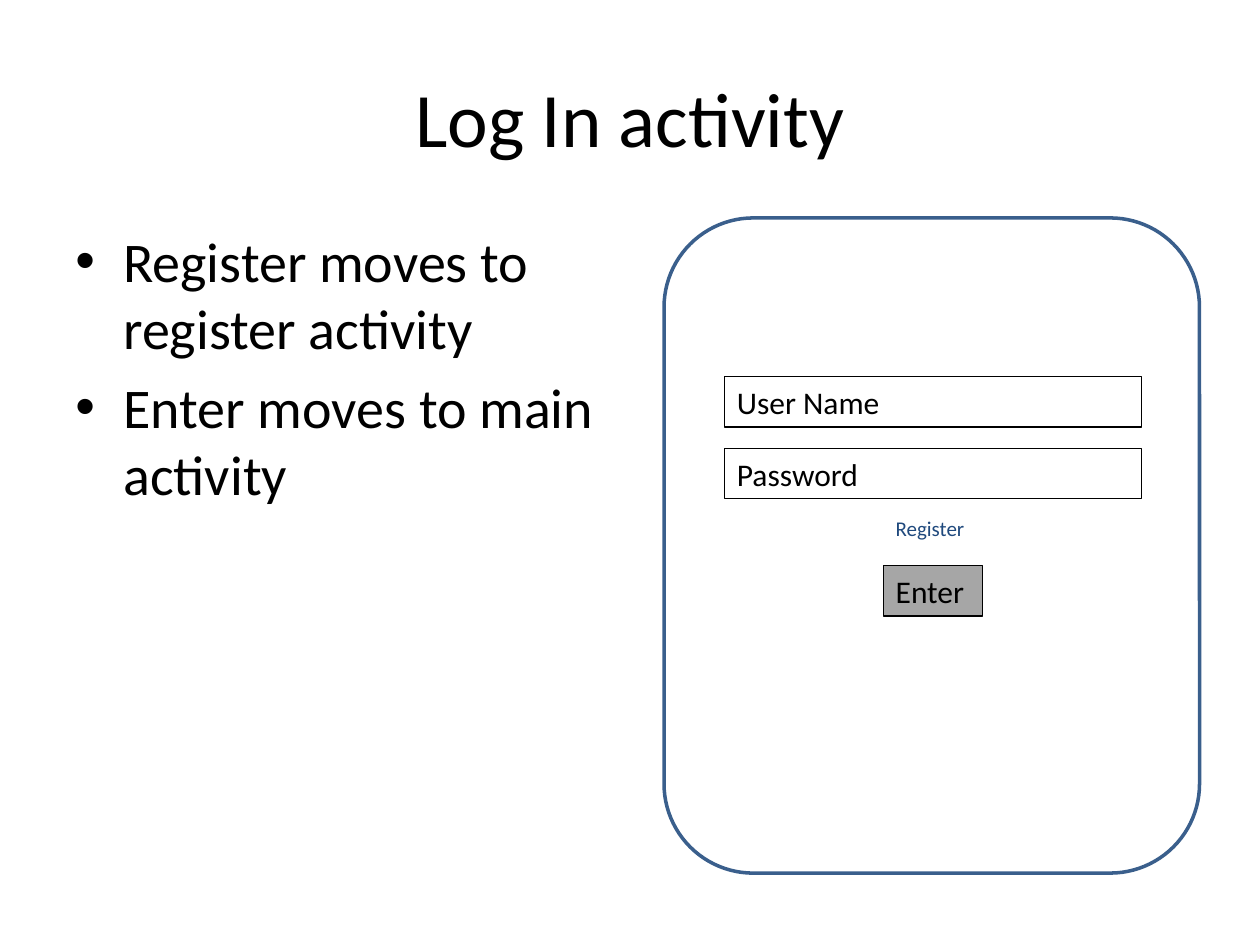
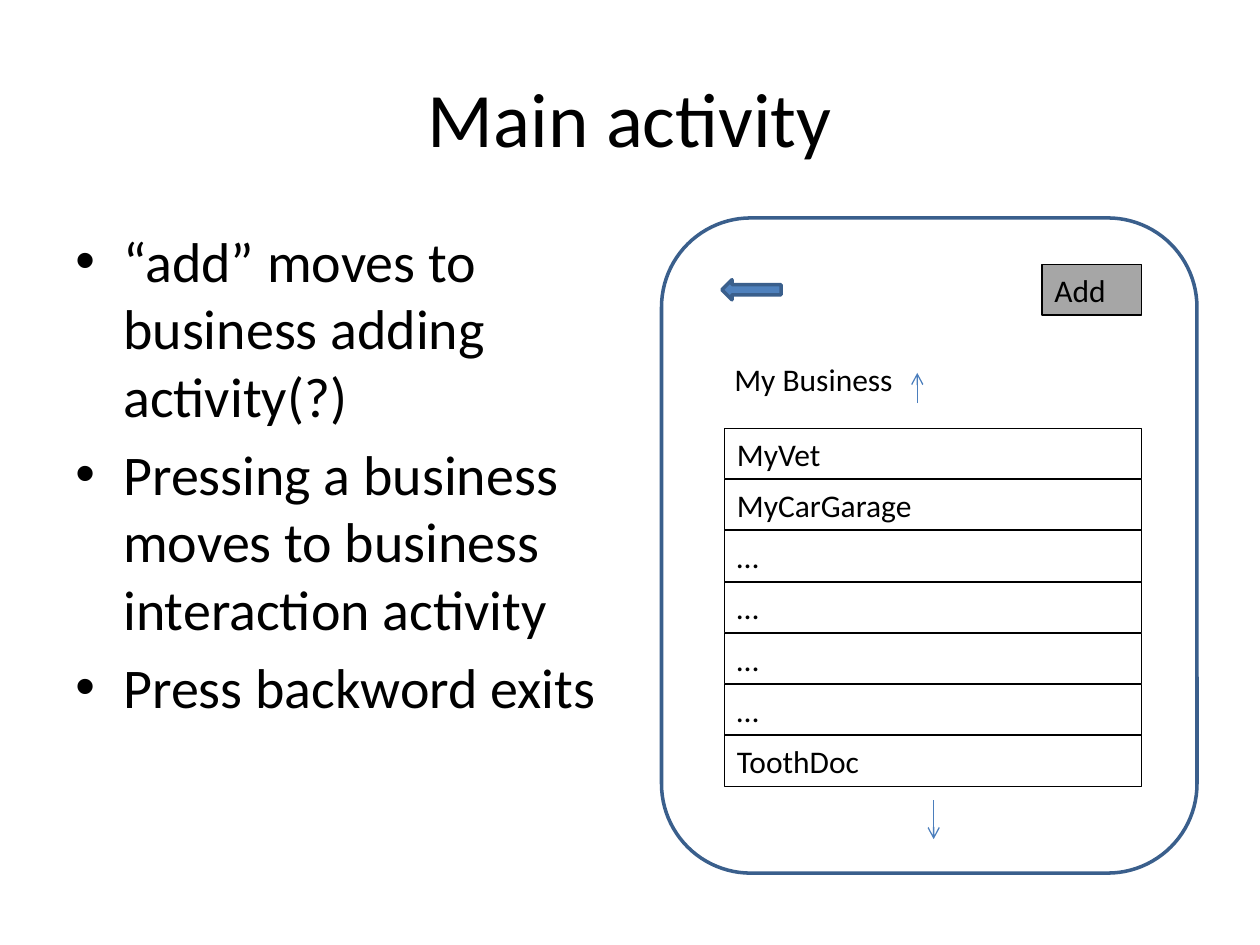
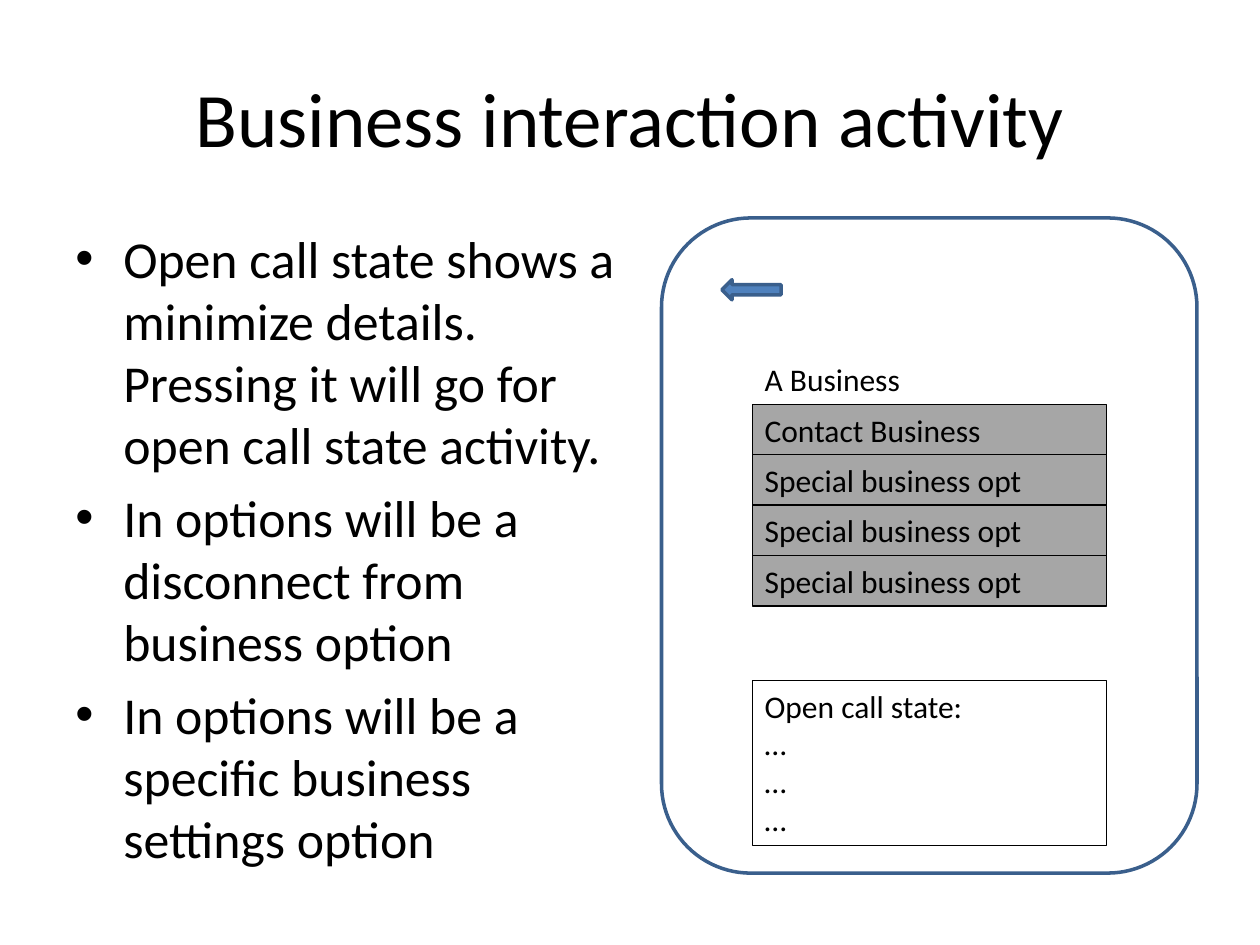
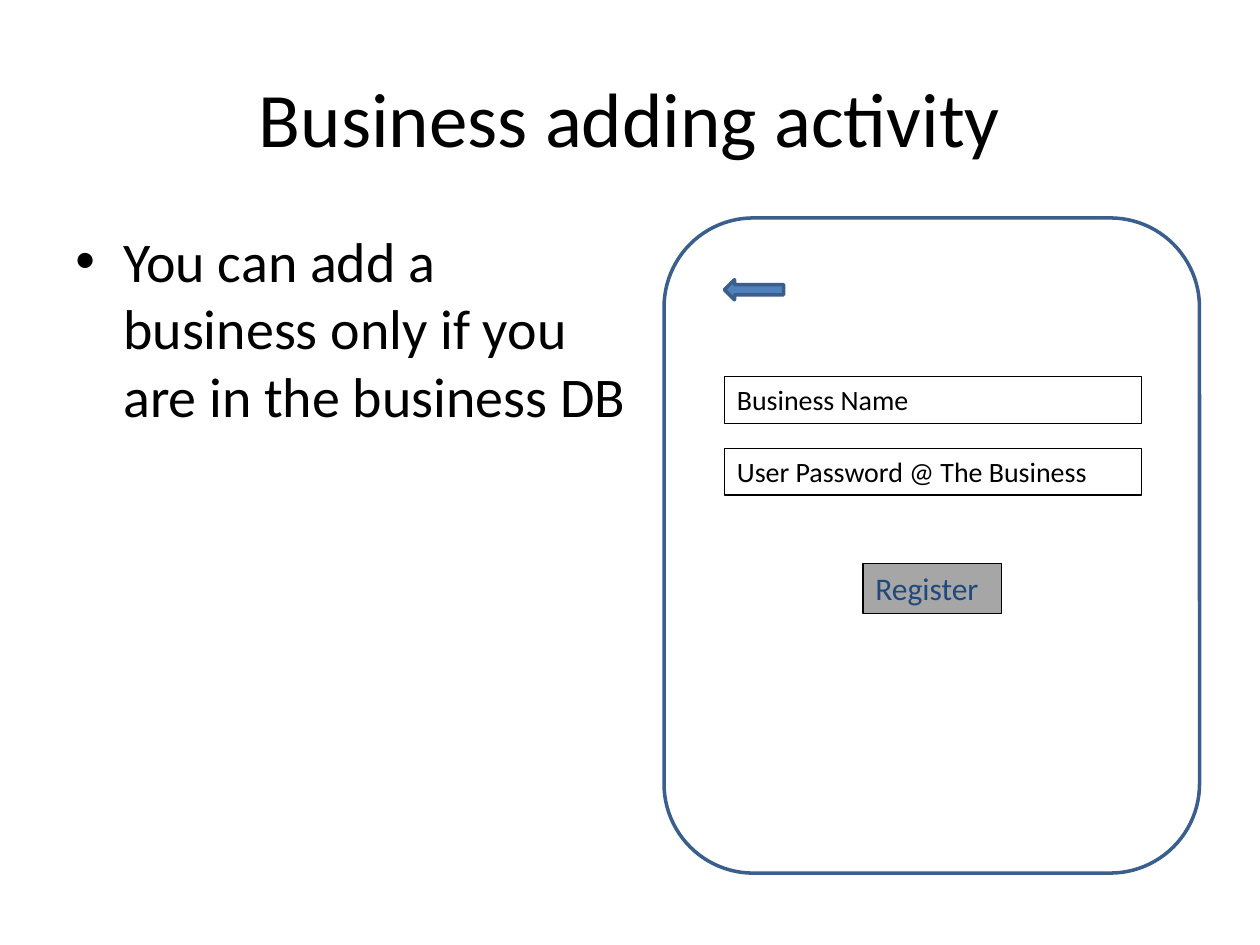
from dataclasses import dataclass
from typing import Any

from lxml.etree import SubElement
from pptx import Presentation
from pptx.dml.color import RGBColor
from pptx.enum.shapes import MSO_CONNECTOR as Connector, MSO_SHAPE as Preset
from pptx.enum.text import MSO_ANCHOR as Anchor, MSO_AUTO_SIZE as AutoSize, PP_ALIGN as Align
from pptx.oxml.ns import qn
from pptx.util import Inches, Pt

BLACK = RGBColor(0x00, 0x00, 0x00)
WHITE = RGBColor(0xFF, 0xFF, 0xFF)
GREY = RGBColor(0xA6, 0xA6, 0xA6)
NAVY = RGBColor(0x1F, 0x49, 0x7D)
BLUE = RGBColor(0x4F, 0x81, 0xBD)
OUTLINE = RGBColor(0x3A, 0x5F, 0x8C)
ARROW_BLUE = RGBColor(0x4B, 0x7E, 0xBC)

FONT = "Calibri"
BULLET_INDENT = 0.38
FIELD_LEFT, FIELD_WIDTH = 5.75, 3.31
OPTION_LEFT, OPTION_WIDTH = 5.97, 2.81
ROW_HEIGHT = 0.4
ELLIPSIS = "\u2026"


@dataclass(frozen=True)
class Label:
    lines: tuple[str, ...]
    left: float
    top: float
    width: float
    height: float = ROW_HEIGHT
    size: float = 18
    color: RGBColor = BLACK
    fill: RGBColor | None = None
    border: bool = True
    wrap: bool = True


@dataclass(frozen=True)
class Arrow:
    x: float
    start: float
    end: float


@dataclass(frozen=True)
class Screen:
    title: str
    bullets: tuple[str, ...]
    labels: tuple[Label, ...]
    arrows: tuple[Arrow, ...] = ()
    phone_left: float = 5.25
    back_left: float | None = None
    bullet_size: float = 32


def set_attributes(target: Any, values: dict[str, Any]) -> None:
    for name, value in values.items():
        setattr(target, name, value)


def add_text(slide: Any, box: tuple[float, ...], lines: tuple[str, ...], size: float,
             color: RGBColor = BLACK, frame_format: dict[str, Any] | None = None,
             paragraph_format: dict[str, Any] | None = None) -> Any:
    shape = slide.shapes.add_textbox(*map(Inches, box))
    frame = shape.text_frame
    set_attributes(frame, {"word_wrap": True, **(frame_format or {})})
    frame.text = "\n".join(lines)
    for paragraph in frame.paragraphs:
        set_attributes(paragraph, paragraph_format or {})
        font = paragraph.runs[0].font
        set_attributes(font, {"name": FONT, "size": Pt(size)})
        font.color.rgb = color
    return shape


def add_title(slide: Any, title: str) -> None:
    add_text(slide, (0.5, 0.3, 9, 1.25), (title,), 44,
             frame_format={"vertical_anchor": Anchor.MIDDLE},
             paragraph_format={"alignment": Align.CENTER})


def add_bullets(slide: Any, bullets: tuple[str, ...], size: float) -> None:
    shape = add_text(slide, (0.5, 1.75, 4.58, 4.95), bullets, size,
                     paragraph_format={"space_before": Pt(size * 0.2)})
    indent = Inches(BULLET_INDENT)
    for paragraph in shape.text_frame.paragraphs:
        properties = paragraph._p.get_or_add_pPr()
        properties.set("marL", str(indent))
        properties.set("indent", str(-indent))
        SubElement(properties, qn("a:buFont"), typeface="Arial")
        SubElement(properties, qn("a:buChar"), char="\u2022")


def add_preset(slide: Any, preset: Any, box: tuple[float, ...], fill: RGBColor) -> None:
    shape = slide.shapes.add_shape(preset, *map(Inches, box))
    shape.shadow.inherit = False
    shape.fill.solid()
    shape.fill.fore_color.rgb = fill
    shape.line.color.rgb = OUTLINE
    shape.line.width = Pt(2)


def add_label(slide: Any, label: Label) -> None:
    shape = add_text(slide, (label.left, label.top, label.width, label.height),
                     label.lines, label.size, label.color,
                     {"word_wrap": label.wrap, "auto_size": AutoSize.SHAPE_TO_FIT_TEXT})
    if label.fill is not None:
        shape.fill.solid()
        shape.fill.fore_color.rgb = label.fill
    if label.border:
        shape.line.color.rgb = BLACK
        shape.line.width = Pt(0.75)


def add_arrow(slide: Any, arrow: Arrow) -> None:
    connector = slide.shapes.add_connector(
        Connector.STRAIGHT, *map(Inches, (arrow.x, arrow.start, arrow.x, arrow.end)))
    connector.line.color.rgb = ARROW_BLUE
    connector.line.width = Pt(0.75)
    SubElement(connector.line._get_or_add_ln(), qn("a:tailEnd"), type="arrow")
    SubElement(connector._element.spPr, qn("a:effectLst"))


def add_screen(presentation: Any, screen: Screen) -> None:
    slide = presentation.slides.add_slide(presentation.slide_layouts[6])
    add_title(slide, screen.title)
    add_preset(slide, Preset.ROUNDED_RECTANGLE, (screen.phone_left, 1.73, 4.25, 5.2), WHITE)
    for label in screen.labels:
        add_label(slide, label)
    add_bullets(slide, screen.bullets, screen.bullet_size)
    if screen.back_left is not None:
        add_preset(slide, Preset.LEFT_ARROW, (screen.back_left, 2.22, 0.47, 0.16), BLUE)
    for arrow in screen.arrows:
        add_arrow(slide, arrow)


def stack(texts: tuple[str, ...], left: float, top: float, width: float, pitch: float,
          **style: Any) -> tuple[Label, ...]:
    return tuple(Label((text,), left, top + row * pitch, width, **style)
                 for row, text in enumerate(texts))


def fields(texts: tuple[str, ...], **style: Any) -> tuple[Label, ...]:
    return stack(texts, FIELD_LEFT, 2.99, FIELD_WIDTH, 0.57, **style)


def heading(text: str, left: float) -> Label:
    return Label((text,), left, 2.81, 1.54, border=False)


BUSINESSES = ("MyVet", "MyCarGarage", *[ELLIPSIS] * 4, "ToothDoc")
BUSINESS_PITCH = (5.84 - 3.4) / (len(BUSINESSES) - 1)
OPTIONS = ("Contact Business", *["Special business opt"] * 3)

SCREENS = (
    Screen(
        "Log In activity",
        ("Register moves to register activity", "Enter moves to main activity"),
        (*fields(("User Name", "Password")),
         Label(("Enter",), 7.01, 4.49, 0.79, fill=GREY),
         Label(("Register",), 7.01, 4.04, 0.75, 0.3, size=12, color=NAVY,
               border=False, wrap=False)),
        phone_left=5.27,
    ),
    Screen(
        "Main activity",
        ("\u201cadd\u201d moves to business adding activity(?)",
         "Pressing a business moves to business interaction activity",
         "Press backword exits"),
        (*stack(BUSINESSES, FIELD_LEFT, 3.4, FIELD_WIDTH, BUSINESS_PITCH),
         Label(("Add",), 8.27, 2.1, 0.79, fill=GREY),
         heading("My Business", 5.73)),
        arrows=(Arrow(7.28, 3.2, 2.96), Arrow(7.41, 6.35, 6.66)),
        back_left=5.73,
    ),
    Screen(
        "Business interaction activity",
        ("Open call state shows a minimize details. Pressing it will go for "
         "open call state activity.",
         "In options will be a disconnect from business option",
         "In options will be a specific business settings option"),
        (*stack(OPTIONS, OPTION_LEFT, 3.21, OPTION_WIDTH, ROW_HEIGHT, fill=GREY),
         heading("A Business", OPTION_LEFT),
         Label(("Open call state:", *[ELLIPSIS] * 3), OPTION_LEFT, 5.4, OPTION_WIDTH, 1.31)),
        back_left=5.73,
        bullet_size=29.6,
    ),
    Screen(
        "Business adding activity",
        ("You can add a business only if you are in the business DB",),
        (*fields(("Business Name", "User Password @ The Business"), height=0.37, size=16),
         Label(("Register",), 6.85, 4.47, 1.1, fill=GREY, color=NAVY)),
        phone_left=5.27,
        back_left=5.75,
    ),
)


def main() -> None:
    presentation = Presentation()
    set_attributes(presentation, {"slide_width": Inches(10), "slide_height": Inches(7.5)})
    for screen in SCREENS:
        add_screen(presentation, screen)
    presentation.save("out.pptx")


main()
